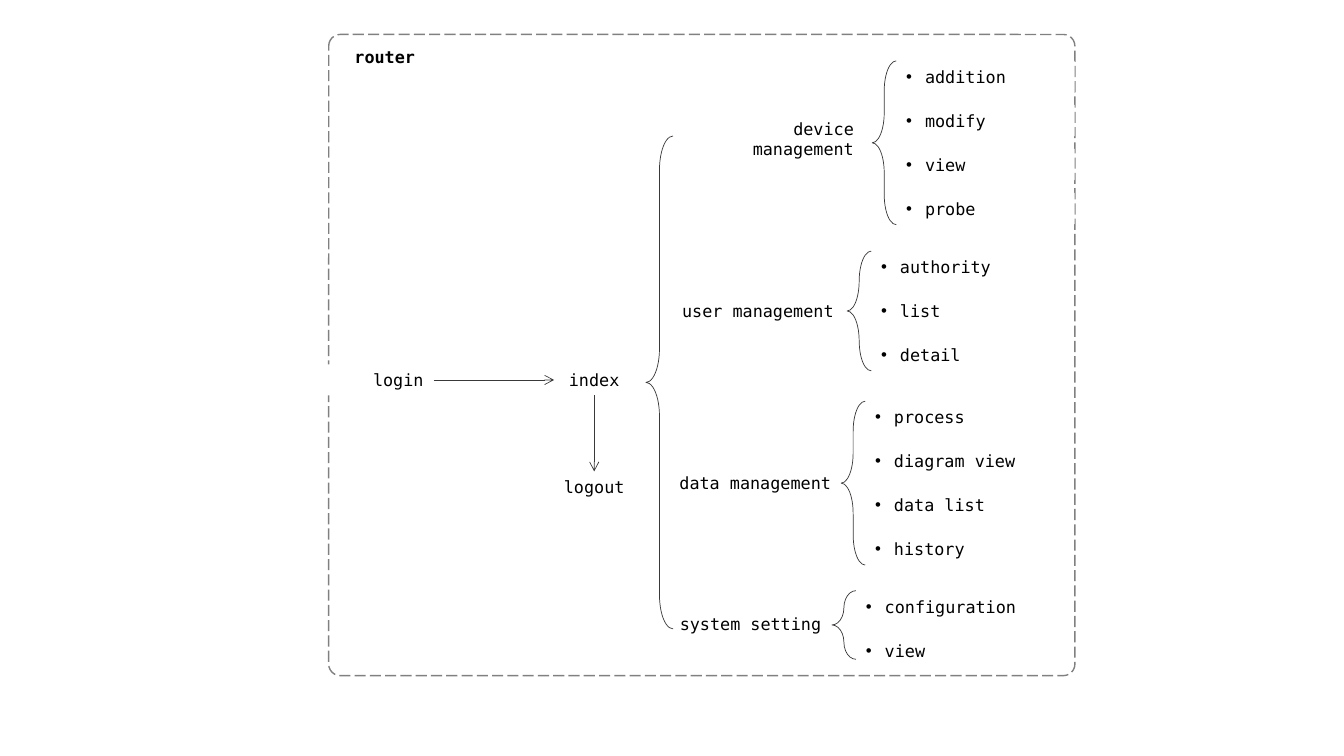
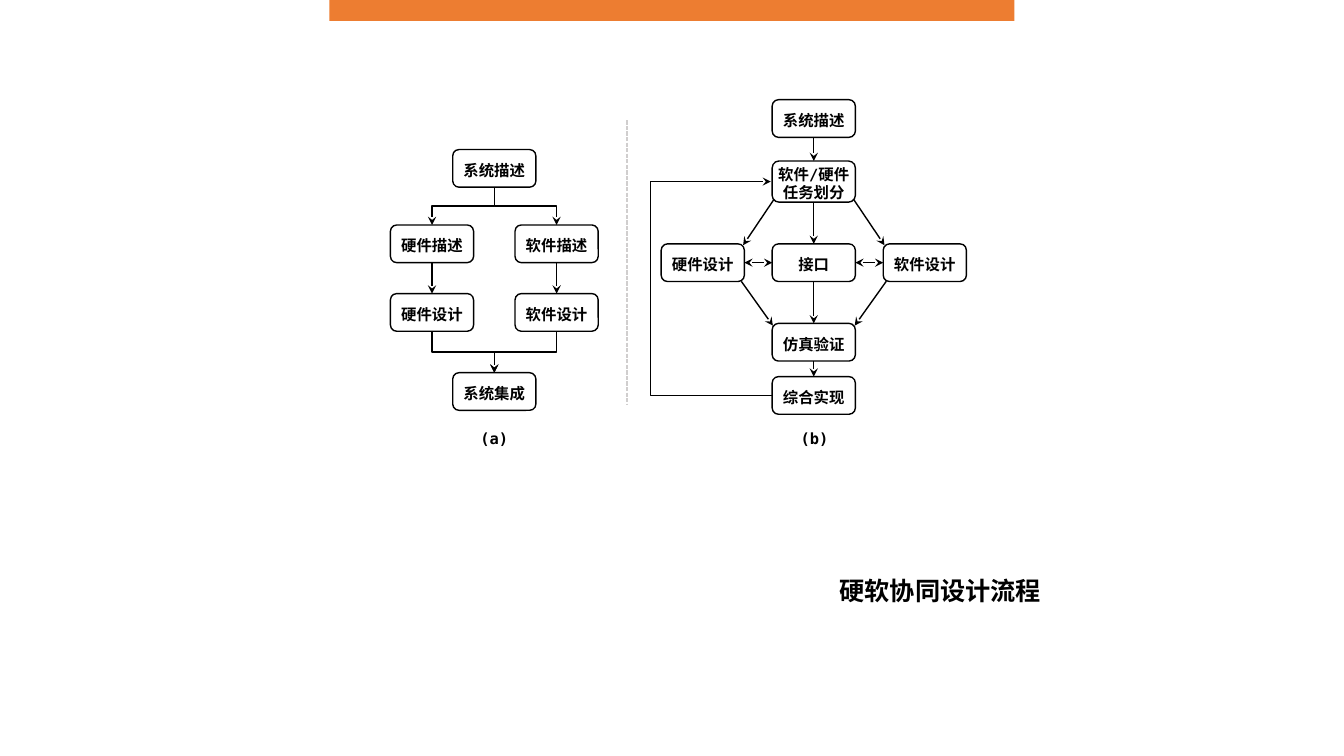
import pptx
import pptx.util
import pptx.dml.color
import pptx.enum.dml
import pptx.enum.shapes
import pptx.enum.text
import pptx.oxml.ns
from lxml import etree

Pt = pptx.util.Pt
qn = pptx.oxml.ns.qn
SHAPE = pptx.enum.shapes.MSO_SHAPE
CONNECTOR = pptx.enum.shapes.MSO_CONNECTOR
ALIGN = pptx.enum.text.PP_ALIGN
ANCHOR = pptx.enum.text.MSO_ANCHOR
DASH = pptx.enum.dml.MSO_LINE

FONT = "DejaVu Sans Mono"
COLORS = {"text": "000000", "white": "FFFFFF", "frame": "808080", "thin": "3B3838",
          "divider": "D0CECE", "band": "ED7D31"}
TOP, LEFT, BOTTOM, RIGHT = range(4)

# Router map
LABEL_W, LABEL_H = 127.5, 22.3
ITEM_STEP = 31.45
BRACE_W = 17.2
PAGES = {"login": (220.8, 260.2), "index": (360.7, 260.2), "logout": (360.7, 336.7)}
MENUS = [  # label, label left, label top, items left, items top, brace height, items
    ("device management", 489.6, 88.1, 640.2, 43.5, 117, ["addition", "modify", "view", "probe"]),
    ("user management", 475.2, 210.5, 622.3, 179.4, 85.5, ["authority", "list", "detail"]),
    ("data management", 473.3, 333.4, 618, 286.6, 117, ["process", "diagram view", "data list", "history"]),
    ("system setting", 466.3, 434.4, 611.4, 421.9, 49, ["configuration", "view"]),
]

# Design flows
BOX_W, BOX_H, TALL_H = 59.4, 26.9, 29.4
MID_A, MID_B = 353.1, 581.3
GAP_A, GAP_B = 44.5, 79.3
LOOP_REACH = 87.5
STEPS = {  # key: text, centre x, top, height
    "a_spec": ("系统描述", MID_A, 106.8, BOX_H),
    "a_hw_spec": ("硬件描述", MID_A - GAP_A, 160.7, BOX_H),
    "a_sw_spec": ("软件描述", MID_A + GAP_A, 160.7, BOX_H),
    "a_hw": ("硬件设计", MID_A - GAP_A, 209.7, BOX_H),
    "a_sw": ("软件设计", MID_A + GAP_A, 209.7, BOX_H),
    "a_join": ("系统集成", MID_A, 266.2, BOX_H),
    "b_spec": ("系统描述", MID_B, 71.2, BOX_H),
    "b_split": ("软件/硬件\n任务划分", MID_B, 115, TALL_H),
    "b_hw": ("硬件设计", MID_B - GAP_B, 174.2, BOX_H),
    "b_port": ("接口", MID_B, 174.2, BOX_H),
    "b_sw": ("软件设计", MID_B + GAP_B, 174.2, BOX_H),
    "b_check": ("仿真验证", MID_B, 231, BOX_H),
    "b_build": ("综合实现", MID_B, 269, BOX_H),
}
DOWN_LINKS = [
    ("a_spec", "a_hw_spec"), ("a_spec", "a_sw_spec"), ("a_hw_spec", "a_hw"),
    ("a_sw_spec", "a_sw"), ("a_hw", "a_join"), ("a_sw", "a_join"),
    ("b_spec", "b_split"), ("b_split", "b_port"), ("b_port", "b_check"), ("b_check", "b_build"),
]
TWO_WAY_LINKS = [("b_hw", "b_port"), ("b_port", "b_sw")]
DIAGONALS = [(28.5, 142.5, 50.5, 175.2), (51.8, 200.9, 29.2, 232.6)]  # x counted from MID_B
CAPTIONS = [("(a)", MID_A, 173.5), ("(b)", MID_B + 0.5, 231.8)]


def rgb(name):
    return pptx.dml.color.RGBColor.from_string(COLORS[name])


def put_text(sp, text, size=12, bold=False, align=ALIGN.LEFT, anchor=ANCHOR.MIDDLE,
             insets=None, wrap=True, bullet=False):
    tf = sp.text_frame
    tf.auto_size = pptx.enum.text.MSO_AUTO_SIZE.NONE
    tf.word_wrap = wrap
    tf.vertical_anchor = anchor
    left, top, right, bottom = insets or (7.2, 3.6, 7.2, 3.6)
    tf.margin_left, tf.margin_top = Pt(left), Pt(top)
    tf.margin_right, tf.margin_bottom = Pt(right), Pt(bottom)
    for i, line in enumerate(text.split("\n")):
        p = tf.add_paragraph() if i else tf.paragraphs[0]
        p.alignment = align
        if bullet:
            pPr = p._p.get_or_add_pPr()
            pPr.set("marL", str(Pt(13.5)))
            pPr.set("indent", str(-Pt(13.5)))
            etree.SubElement(pPr, qn("a:buFont"), typeface="Arial")
            etree.SubElement(pPr, qn("a:buChar"), char="•")
        r = p.add_run()
        r.text = line
        r.font.size, r.font.bold, r.font.name = Pt(size), bold, FONT
        r.font.color.rgb = rgb("text")
        etree.SubElement(r._r.get_or_add_rPr(), qn("a:ea"), typeface=FONT)


def add_title(s, text, x, y, w, h, **text_format):
    sp = s.shapes.title
    sp.left, sp.top, sp.width, sp.height = Pt(x), Pt(y), Pt(w), Pt(h)
    put_text(sp, text, bold=True, **text_format)


def add_shape(s, kind, x, y, w, h, fill=None, line=None, weight=1.0, adj=()):
    sp = s.shapes.add_shape(kind, Pt(x), Pt(y), Pt(w), Pt(h))
    sp.shadow.inherit = False
    for i, value in enumerate(adj):
        sp.adjustments[i] = value
    if fill:
        sp.fill.solid()
        sp.fill.fore_color.rgb = rgb(fill)
    else:
        sp.fill.background()
    if line:
        sp.line.color.rgb = rgb(line)
        sp.line.width = Pt(weight)
    else:
        sp.line.fill.background()
    return sp


def add_label(s, text, x, y, **text_format):
    sp = add_shape(s, SHAPE.RECTANGLE, x, y, LABEL_W, LABEL_H, fill="white")
    put_text(sp, text, **text_format)
    return sp


def add_brace(s, x, y, w, h):
    add_shape(s, SHAPE.LEFT_BRACE, x, y, w, h, line="thin", weight=0.5, adj=(1.244, 0.5))


def add_line(s, ends=(0, 0, 0, 0), kind=CONNECTOR.STRAIGHT, color="text", weight=1.0,
             dash=None, head=None, tail=None):
    c = s.shapes.add_connector(kind, *(Pt(v) for v in ends))
    c.line.color.rgb = rgb(color)
    c.line.width = Pt(weight)
    if dash:
        c.line.dash_style = dash
    ln = c.line._get_or_add_ln()
    for tag, arrow in (("a:headEnd", head), ("a:tailEnd", tail)):
        if arrow:
            etree.SubElement(ln, qn(tag), type=arrow)
    etree.SubElement(c._element.spPr, qn("a:effectLst"))
    return c


def join(s, start, start_side, end, end_side, **line_format):
    c = add_line(s, **line_format)
    c.begin_connect(start, start_side)
    c.end_connect(end, end_side)
    return c


def turn(c, x, y, w, h, angle, flip=False):
    """Place an elbow by its unrotated frame, in EMU, and rotate it."""
    c.left, c.top, c.width, c.height = (int(v) for v in (x, y, w, h))
    xfrm = c._element.spPr.find(qn("a:xfrm"))
    for name in ("flipH", "flipV"):
        xfrm.attrib.pop(name, None)
    xfrm.set("rot", str(angle * 60000))
    if flip:
        xfrm.set("flipH", "1")


def join_down(s, upper, lower):
    """Arrow from the bottom of one box to the top of another, bent if they are not aligned."""
    x1, y1 = upper.left + upper.width // 2, upper.top + upper.height
    x2, y2 = lower.left + lower.width // 2, lower.top
    bent = x1 != x2
    c = join(s, upper, BOTTOM, lower, TOP, tail="stealth",
             kind=CONNECTOR.ELBOW if bent else CONNECTOR.STRAIGHT)
    if bent:
        w, h = y2 - y1, abs(x2 - x1)
        right = x2 > x1
        turn(c, (x1 + x2 - w) / 2, (y1 + y2 - h) / 2, w, h, 270 if right else 90, flip=right)


def join_back(s, lower, upper):
    """Arrow that leaves the left of the lower box and comes back to the left of the upper one."""
    c = join(s, lower, LEFT, upper, LEFT, kind=CONNECTOR.ELBOW, tail="stealth")
    y1, y2 = lower.top + lower.height // 2, upper.top + upper.height // 2
    turn(c, upper.left - Pt(1), y2, Pt(1), y1 - y2, 180)
    guides = c._element.spPr.find(qn("a:prstGeom")).get_or_add_avLst()
    etree.SubElement(guides, qn("a:gd"), name="adj1", fmla=f"val {int(LOOP_REACH * 100000)}")


def router_slide(s):
    add_shape(s, SHAPE.ROUNDED_RECTANGLE, 234.8, 24.6, 533, 458, line="frame",
              adj=(0.018,)).line.dash_style = DASH.LONG_DASH
    add_title(s, "router", 246, 29.7, LABEL_W, LABEL_H)
    pages = {name: add_label(s, name, x, y, align=ALIGN.CENTER) for name, (x, y) in PAGES.items()}
    thin = dict(color="thin", weight=0.5, tail="arrow")
    add_line(s, (309.9, 271.4, 395.8, 271.4), **thin)
    join(s, pages["index"], BOTTOM, pages["logout"], TOP, **thin)
    for label, label_x, label_y, x, y, brace_h, items in MENUS:
        add_label(s, label, label_x, label_y, align=ALIGN.RIGHT)
        for i, item in enumerate(items):
            add_label(s, item, x, y + i * ITEM_STEP, bullet=True)
        add_brace(s, x - BRACE_W, y, BRACE_W, brace_h)
    add_brace(s, 461.4, 97.2, 19.4, 352)


def flow_slide(s):
    add_shape(s, SHAPE.RECTANGLE, 235.2, 0, 489.4, 15, fill="band")
    add_title(s, "硬软协同设计流程", 592.5, 407.5, 160, 29, size=18, anchor=ANCHOR.TOP, wrap=False)
    step_format = dict(size=11, bold=True, align=ALIGN.CENTER, insets=(0, 2.9, 0, 0))
    boxes = {}
    for key, (text, cx, y, h) in STEPS.items():
        boxes[key] = add_shape(s, SHAPE.ROUNDED_RECTANGLE, cx - BOX_W / 2, y, BOX_W, h,
                               fill="white", line="text")
        put_text(boxes[key], text, **step_format)
    for upper, lower in DOWN_LINKS:
        join_down(s, boxes[upper], boxes[lower])
    for left, right in TWO_WAY_LINKS:
        join(s, boxes[left], RIGHT, boxes[right], LEFT, head="stealth", tail="stealth")
    for x1, y1, x2, y2 in DIAGONALS:
        for side in (-1, 1):
            add_line(s, (MID_B + side * x1, y1, MID_B + side * x2, y2), tail="stealth")
    join_back(s, boxes["b_build"], boxes["b_split"])
    add_line(s, (447.8, 86, 447.8, 289), color="divider", dash=DASH.SQUARE_DOT)
    for text, cx, w in CAPTIONS:
        caption = add_shape(s, SHAPE.ROUNDED_RECTANGLE, cx - w / 2, 298.3, w, BOX_H, fill="white")
        put_text(caption, text, **step_format)


def main():
    prs = pptx.Presentation()
    prs.slide_width, prs.slide_height = Pt(960), Pt(540)
    for build in (router_slide, flow_slide):
        build(prs.slides.add_slide(prs.slide_layouts[5]))
    prs.save("out.pptx")


if __name__ == "__main__":
    main()
